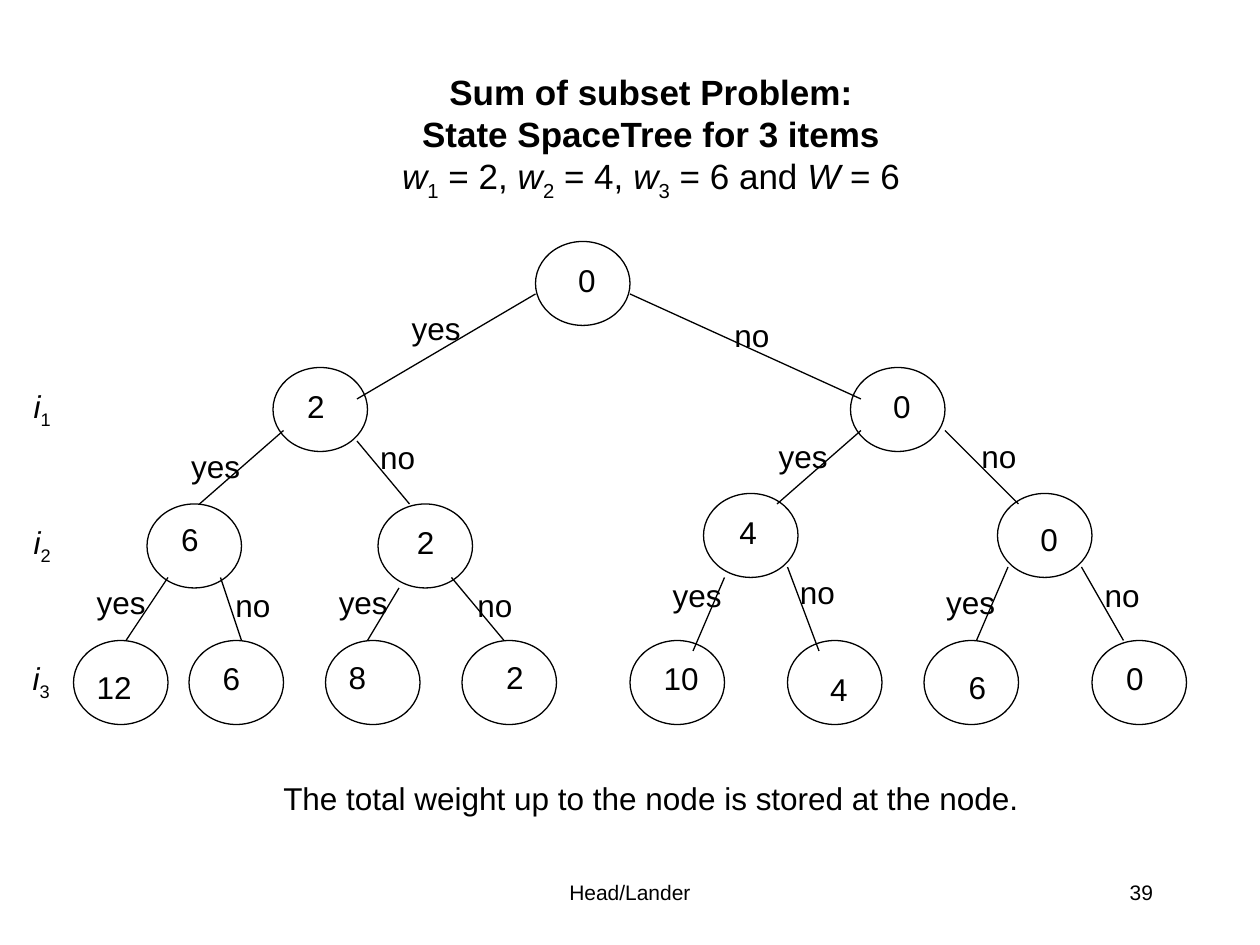
"""Build the state space tree slide for the sum of subsets problem."""
from lxml import etree
from pptx import Presentation
from pptx.dml.color import RGBColor
from pptx.enum import shapes, text
from pptx.oxml import ns
from pptx.util import Pt

BLACK = RGBColor(0, 0, 0)
FONT = "Arial"
NODE_WIDTH, NODE_HEIGHT = 54, 48
LABEL_HEIGHT = 29
BRANCH_WIDTHS = {"yes": 42.5, "no": 34.5}

TITLE = [
    [("Sum of subset Problem:", "bold")],
    [("State SpaceTree for 3 items", "bold")],
    [("w", "italic"), ("1", "sub"), (" = 2, ", ""),
     ("w", "italic"), ("2", "sub"), (" = 4, ", ""),
     ("w", "italic"), ("3", "sub"), (" = 6 and ", ""),
     ("W", "italic"), (" = 6", "")],
]
LEVELS = [("1", 12.2, 217.4), ("2", 12.2, 295.2), ("3", 11.5, 373)]

# value, node left and top, value left and top
NODES = [
    ("0", (306, 138), (323.3, 145.4)),
    ("2", (156, 210), (168.5, 217.4)),
    ("0", (486, 210), (503.3, 217.4)),
    ("6", (84, 288), (96.5, 293.8)),
    ("2", (216, 288), (231.1, 295.2)),
    ("4", (402, 282), (415.4, 289.4)),
    ("0", (570, 282), (587.5, 293.8)),
    ("12", (42, 366), (48.2, 378)),
    ("6", (108, 366), (120.2, 373)),
    ("8", (186, 366), (192.2, 372.2)),
    ("2", (264, 366), (282.2, 372.2)),
    ("10", (360, 366), (372.2, 373)),
    ("4", (450, 366), (467.3, 379.4)),
    ("6", (528, 366), (546.5, 378)),
    ("0", (624, 366), (636.5, 373)),
]
BRANCHES = [
    ("yes", (306, 168), (204, 228), (228.2, 172.8)),
    ("no", (360, 168), (492, 228), (412.6, 177.1)),
    ("yes", (162, 246), (114, 288), (102.2, 252)),
    ("no", (204, 252), (234, 288), (210.2, 247)),
    ("yes", (492, 246), (444, 288), (437.8, 246.2)),
    ("no", (540, 246), (582, 288), (553.7, 246.2)),
    ("yes", (96, 330), (72, 366), (48.2, 329.8)),
    ("no", (126, 330), (138, 366), (127.4, 331.2)),
    ("yes", (228, 336), (210, 366), (186.5, 329.8)),
    ("no", (258, 330), (288, 366), (265.7, 331.2)),
    ("yes", (414, 330), (396, 372), (377.3, 325.4)),
    ("no", (450, 324), (468, 372), (450, 324)),
    ("yes", (576, 324), (558, 366), (533.5, 329.8)),
    ("no", (618, 324), (642, 366), (624.2, 325.4)),
]
CAPTIONS = [
    ("The total weight up to the node is stored at the node.",
     (108, 432, 528, 48), 18, text.PP_ALIGN.CENTER),
    ("Head/Lander", (246, 492, 228, 36), 12, text.PP_ALIGN.CENTER),
    ("39", (516, 492, 150, 36), 12, text.PP_ALIGN.RIGHT),
]


def add_text(slide, lines, box, size, align=text.PP_ALIGN.LEFT, wrap=True):
    shape = slide.shapes.add_textbox(*map(Pt, box))
    frame = shape.text_frame
    frame.word_wrap = wrap
    if wrap:
        frame.vertical_anchor = text.MSO_ANCHOR.MIDDLE
    else:
        frame.auto_size = text.MSO_AUTO_SIZE.SHAPE_TO_FIT_TEXT
    for index, line in enumerate(lines):
        paragraph = frame.add_paragraph() if index else frame.paragraphs[0]
        paragraph.alignment = align
        paragraph.font.name = FONT
        paragraph.font.size = Pt(size)
        paragraph.font.color.rgb = BLACK
        for content, style in line:
            run = paragraph.add_run()
            run.text = content
            if style == "bold":
                run.font.bold = True
            elif style == "italic":
                run.font.italic = True
            elif style == "sub":
                run._r.get_or_add_rPr().set("baseline", "-25000")


def add_label(slide, line, position, width, height=LABEL_HEIGHT):
    add_text(slide, [line], (*position, width, height), 18, wrap=False)


def add_node(slide, value, position, value_position):
    shape = slide.shapes.add_shape(
        shapes.MSO_SHAPE.OVAL, *map(Pt, (*position, NODE_WIDTH, NODE_HEIGHT)))
    shape.shadow.inherit = False
    shape.fill.background()
    shape.line.color.rgb = BLACK
    shape.line.width = Pt(0.75)
    add_label(slide, [(value, "")], value_position, 14.5 + 10 * len(value))


def add_branch(slide, label, start, end, label_position):
    line = slide.shapes.add_connector(
        shapes.MSO_CONNECTOR.STRAIGHT, *map(Pt, (*start, *end)))
    line.line.color.rgb = BLACK
    line.line.width = Pt(0.75)
    etree.SubElement(line._element.spPr, ns.qn("a:effectLst"))
    add_label(slide, [(label, "")], label_position, BRANCH_WIDTHS[label])


def main():
    presentation = Presentation()
    presentation.slide_width, presentation.slide_height = Pt(720), Pt(540)
    slide = presentation.slides.add_slide(presentation.slide_layouts[6])
    add_text(slide, TITLE, (54, 36, 636, 84), 20, text.PP_ALIGN.CENTER)
    for node in NODES:
        add_node(slide, *node)
    for branch in BRANCHES:
        add_branch(slide, *branch)
    for level, left, top in LEVELS:
        add_label(slide, [("i", "italic"), (level, "sub")], (left, top), 24, 31.5)
    for caption, box, size, align in CAPTIONS:
        add_text(slide, [[(caption, "")]], box, size, align)
    presentation.save("out.pptx")


if __name__ == "__main__":
    main()
